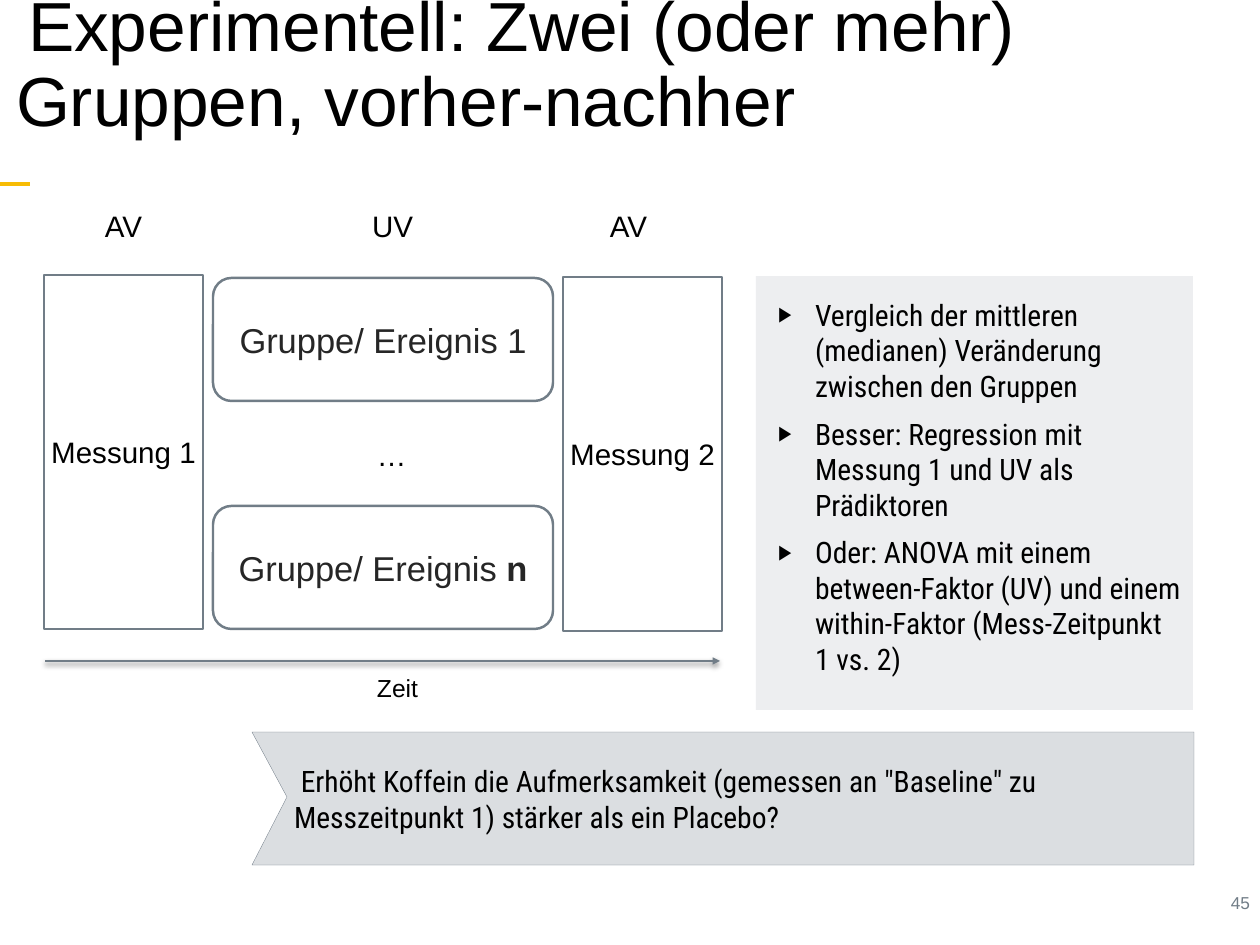
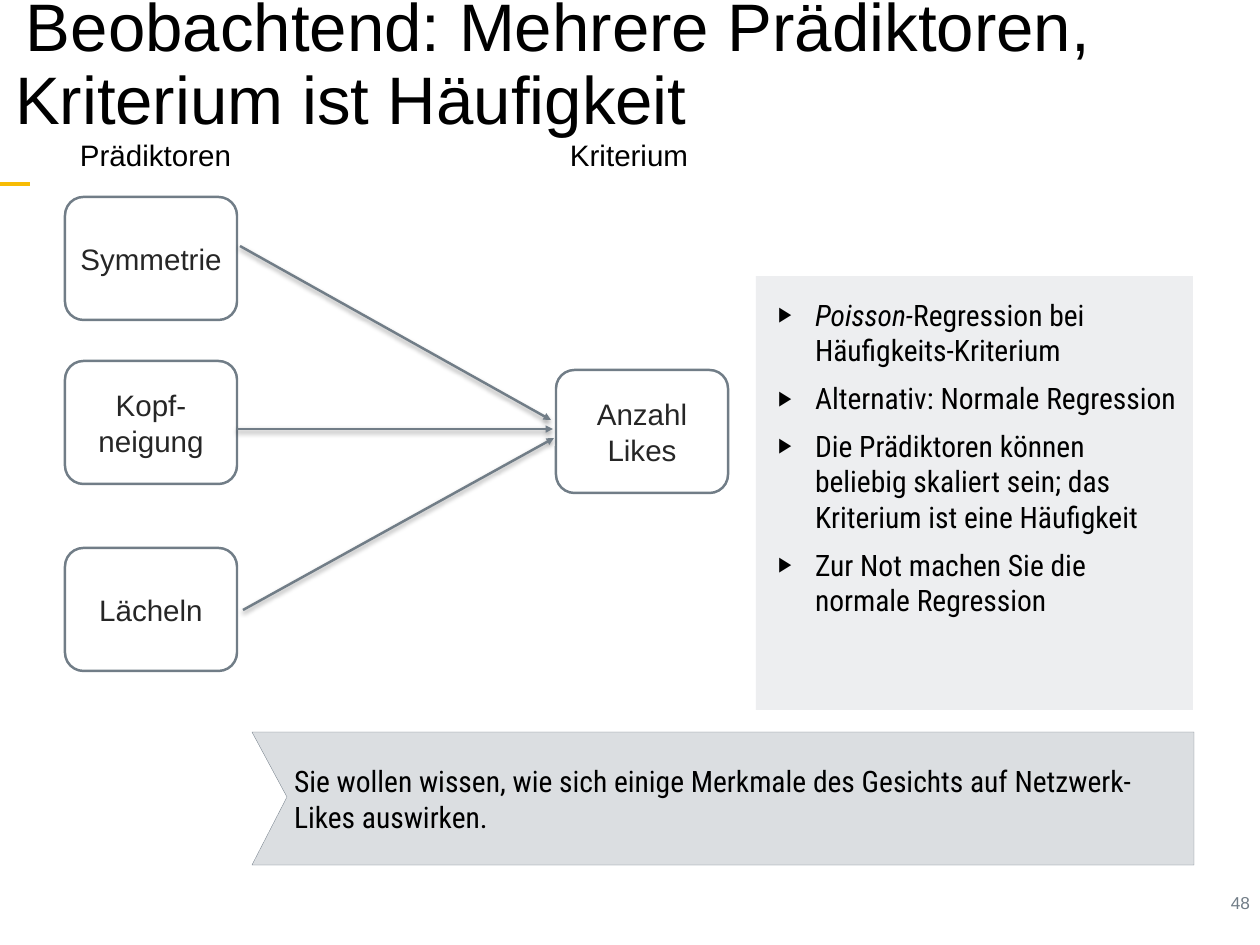
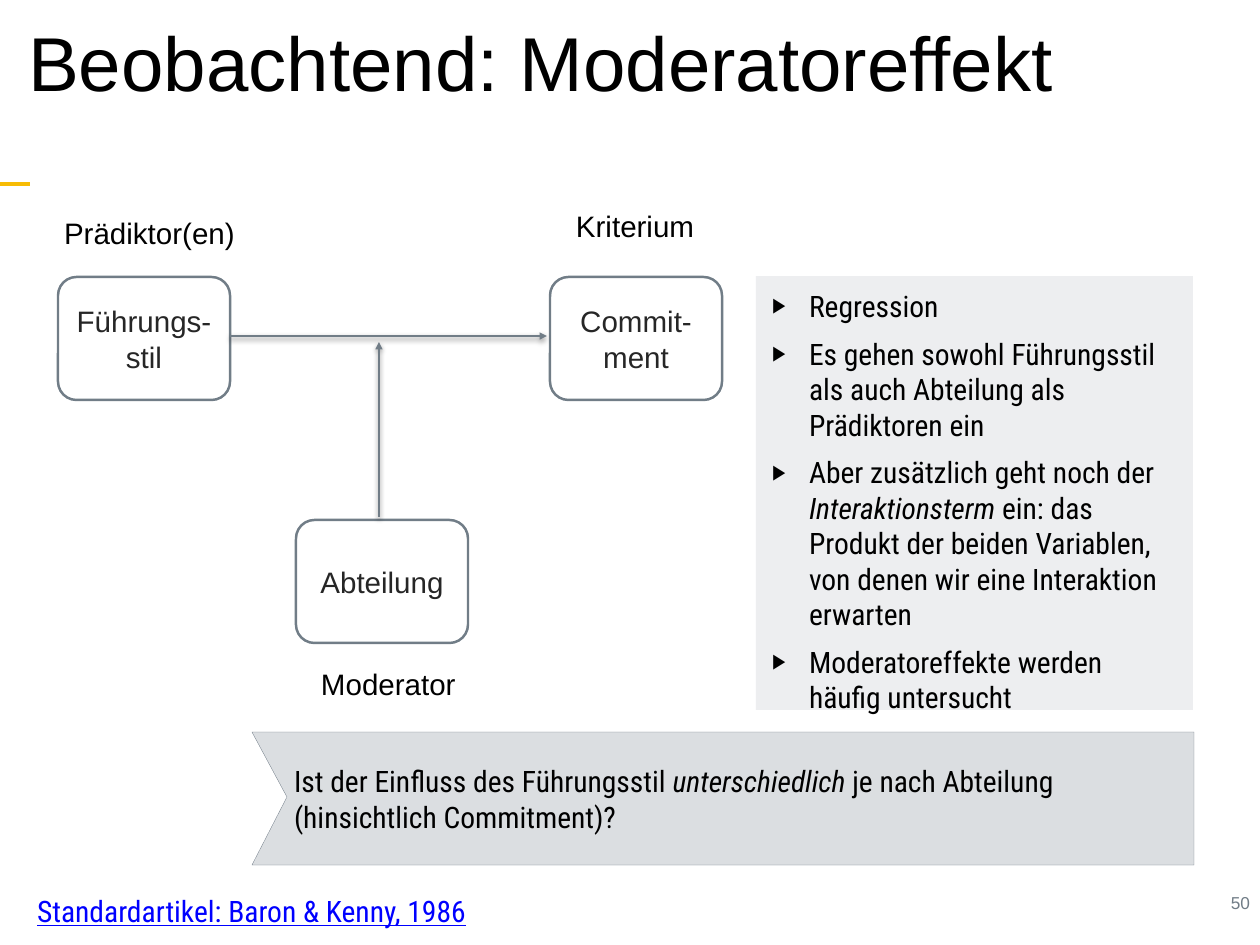
from lxml import etree
from pptx import Presentation
from pptx.dml.color import RGBColor
from pptx.enum.shapes import MSO_CONNECTOR, MSO_SHAPE
from pptx.enum.text import MSO_ANCHOR as Anchor, MSO_AUTO_SIZE, PP_ALIGN as Align
from pptx.oxml import parse_xml
from pptx.oxml.ns import nsdecls, qn
from pptx.util import Emu, Pt

EMU_PER_PX = 10320
SLIDE_W, SLIDE_H = 1260, 945
TITLE_ONLY = 5

BLACK = RGBColor(0x00, 0x00, 0x00)
WHITE = RGBColor(0xFF, 0xFF, 0xFF)
INK = RGBColor(0x26, 0x26, 0x26)
SLATE = RGBColor(0x71, 0x7D, 0x87)
YELLOW = RGBColor(0xF7, 0xBC, 0x05)
PANEL_GREY = RGBColor(0xED, 0xEE, 0xF0)
BANNER_GREY = RGBColor(0xDB, 0xDE, 0xE1)
LINK_BLUE = RGBColor(0x00, 0x00, 0xFF)

SANS = "Arial"
CONDENSED = "Roboto Condensed"

NODE_W, NODE_H = 172, 123
GROUP_W = 340
INSET = 6
BULLET_INDENT = 37

SHADOW = (
    f'<a:effectLst {nsdecls("a")}>'
    '<a:outerShdw blurRad="50800" dist="25400" dir="5400000" rotWithShape="0">'
    '<a:srgbClr val="000000"><a:alpha val="38000"/></a:srgbClr>'
    "</a:outerShdw></a:effectLst>"
)
NO_SHADOW = f'<a:effectLst {nsdecls("a")}/>'


def px(length):
    return Emu(length * EMU_PER_PX)


def px_all(*lengths):
    return [px(length) for length in lengths]


def write(paragraph, text, size, color, font=SANS, bold_marks=False):
    """Fill a paragraph; parts between asterisks become italic, or bold."""
    for i, part in enumerate(text.split("*")):
        if not part:
            continue
        run = paragraph.add_run()
        run.text = part
        run.font.name, run.font.size = font, Pt(size)
        run.font.color.rgb = color
        if i % 2 and bold_marks:
            run.font.bold = True
        elif i % 2:
            run.font.italic = True


def set_frame(frame, inset=INSET, anchor=Anchor.TOP, wrap=True):
    frame.margin_left = frame.margin_right = px(inset)
    frame.margin_top = frame.margin_bottom = px(inset)
    frame.vertical_anchor = anchor
    frame.word_wrap = wrap


def set_indent(paragraph, left, first):
    pPr = paragraph._p.get_or_add_pPr()
    pPr.set("marL", str(px(left)))
    pPr.set("indent", str(px(first)))
    return pPr


def add_text(slide, x, y, w, h, text, size=24, color=BLACK, font=SANS,
             align=Align.LEFT, wrap=False, inset=INSET, anchor=Anchor.TOP):
    frame = slide.shapes.add_textbox(*px_all(x, y, w, h)).text_frame
    set_frame(frame, inset, anchor, wrap)
    paragraph = frame.paragraphs[0]
    paragraph.alignment = align
    write(paragraph, text, size, color, font)
    return paragraph


def add_label(slide, x, y, w, text, size=24):
    add_text(slide, x, y, w, 46, text, size)


def paint(shape, fill, line_width=None):
    shape.shadow.inherit = False
    shape.fill.solid()
    shape.fill.fore_color.rgb = fill
    if line_width is None:
        shape.line.fill.background()
    else:
        shape.line.color.rgb = SLATE
        shape.line.width = Pt(line_width)


def add_box(slide, x, y, w, h, text, size=24, color=INK, rounded=True):
    """Outlined box with centred text, one paragraph a line."""
    kind = MSO_SHAPE.ROUNDED_RECTANGLE if rounded else MSO_SHAPE.RECTANGLE
    box = slide.shapes.add_shape(kind, *px_all(x, y, w, h))
    if rounded:
        box.adjustments[0] = 0.15
    paint(box, WHITE, 2)
    frame = box.text_frame
    set_frame(frame, anchor=Anchor.MIDDLE, wrap=False)
    for i, line in enumerate(text.split("\n")):
        paragraph = frame.add_paragraph() if i else frame.paragraphs[0]
        paragraph.alignment = Align.CENTER
        write(paragraph, line, size, color, bold_marks=True)


def add_node(slide, x, y, text):
    add_box(slide, x, y, NODE_W, NODE_H, text)


def add_line(slide, start, end, color, width, effect=NO_SHADOW):
    line = slide.shapes.add_connector(
        MSO_CONNECTOR.STRAIGHT, *px_all(*start, *end))
    line.line.color.rgb = color
    line.line.width = Pt(width)
    line._element.spPr.append(parse_xml(effect))
    return line


def add_arrow(slide, start, end):
    arrow = add_line(slide, start, end, SLATE, 2, SHADOW)
    etree.SubElement(arrow.line._get_or_add_ln(), qn("a:tailEnd"), type="triangle")


def add_bullet(paragraph):
    pPr = set_indent(paragraph, BULLET_INDENT, -BULLET_INDENT)
    etree.SubElement(pPr, qn("a:buSzPct"), val="70000")
    etree.SubElement(pPr, qn("a:buFont"), typeface=SANS)
    etree.SubElement(pPr, qn("a:buChar"), char="▶")


def add_method_panel(slide, points, x=772, y=291):
    panel = slide.shapes.add_shape(MSO_SHAPE.RECTANGLE, *px_all(756, 276, 437, 434))
    paint(panel, PANEL_GREY)
    frame = slide.shapes.add_textbox(*px_all(x, y, 416, 420)).text_frame
    set_frame(frame)
    for i, point in enumerate(points):
        paragraph = frame.add_paragraph() if i else frame.paragraphs[0]
        add_bullet(paragraph)
        if i:
            paragraph.space_before = Pt(10)
        write(paragraph, point, 24, BLACK, CONDENSED)


def add_question_banner(slide, question):
    outline = slide.shapes.build_freeform(252, 732, scale=EMU_PER_PX)
    outline.add_line_segments([(1194, 732), (1194, 865), (252, 865), (287, 797)])
    paint(outline.convert_to_shape(), BANNER_GREY, 0.25)
    add_text(slide, 294, 747, 893, 103, question, font=CONDENSED,
             wrap=True, inset=0, anchor=Anchor.MIDDLE)


def start_slide(prs, title, title_size, title_indent, number):
    """Add a slide with its title, accent line and slide number."""
    slide = prs.slides.add_slide(prs.slide_layouts[TITLE_ONLY])
    heading = slide.shapes.title
    heading.left, heading.top, heading.width, heading.height = px_all(
        0, -2, SLIDE_W, 137)
    frame = heading.text_frame
    frame.auto_size = MSO_AUTO_SIZE.NONE
    set_frame(frame, 4, Anchor.MIDDLE)
    paragraph = frame.paragraphs[0]
    set_indent(paragraph, title_indent, title_indent)
    paragraph.alignment = Align.LEFT
    paragraph.line_spacing = 0.9
    write(paragraph, title, title_size, BLACK)
    add_line(slide, (0, 184), (30, 184), YELLOW, 3)
    add_text(slide, 1046, 886, 210, 32, number, 14, SLATE,
             align=Align.RIGHT, wrap=True)
    return slide


def build_experiment(prs):
    slide = start_slide(
        prs, "Experimentell: Zwei (oder mehr) Gruppen, vorher-nachher", 56.4, 12, "45")
    for x, w, heading in ((99, 51, "AV"), (366, 55, "UV"), (604, 51, "AV")):
        add_label(slide, x, 202, w, heading)
    for x, y, measurement in ((44, 275, "Messung 1"), (563, 277, "Messung 2")):
        add_box(slide, x, y, 159, 354, measurement, color=BLACK, rounded=False)
    for y, group in ((278, "1"), (506, "*n*")):
        add_box(slide, 213, y, GROUP_W, NODE_H, f"Gruppe/ Ereignis {group}", 28)
    add_label(slide, 371, 431, 43, "…")
    add_arrow(slide, (45, 661), (720, 661))
    add_label(slide, 371, 667, 55, "Zeit", 20)
    add_method_panel(slide, [
        "Vergleich der mittleren (medianen) Veränderung zwischen den Gruppen",
        "Besser: Regression mit Messung 1 und UV als Prädiktoren",
        "Oder: ANOVA mit einem between-Faktor (UV) und einem within-Faktor "
        "(Mess-Zeitpunkt 1 vs. 2)",
    ])
    add_question_banner(
        slide, ' Erhöht Koffein die Aufmerksamkeit (gemessen an "Baseline" zu '
        "Messzeitpunkt 1) stärker als ein Placebo?")


def build_count_regression(prs):
    slide = start_slide(
        prs, "Beobachtend: Mehrere Prädiktoren, Kriterium ist Häufigkeit", 54.6, 11, "48")
    add_label(slide, 74, 131, 165, "Prädiktoren")
    add_label(slide, 564, 131, 132, "Kriterium")
    for y, predictor in ((197, "Symmetrie"), (361, "Kopf-\nneigung"), (548, "Lächeln")):
        add_node(slide, 65, y, predictor)
    add_node(slide, 556, 370, "Anzahl\nLikes")
    for start, end in (((240, 246), (551, 420)),
                       ((237, 429), (553, 429)),
                       ((243, 610), (554, 438))):
        add_arrow(slide, start, end)
    add_method_panel(slide, [
        "*Poisson-*Regression bei Häufigkeits-Kriterium",
        "Alternativ: Normale Regression",
        "Die Prädiktoren können beliebig skaliert sein; das Kriterium ist eine Häufigkeit",
        "Zur Not machen Sie die normale Regression",
    ])
    add_question_banner(
        slide, "Sie wollen wissen, wie sich einige Merkmale des Gesichts auf "
        "Netzwerk-Likes auswirken.")


def build_moderator(prs):
    slide = start_slide(prs, "Beobachtend: Moderatoreffekt", 62, 12, "50")
    add_label(slide, 58, 209, 184, "Prädiktor(en)")
    add_label(slide, 570, 202, 132, "Kriterium")
    add_label(slide, 315, 660, 149, "Moderator")
    for x, y, variable in ((58, 277, "Führungs-\nstil"),
                           (550, 277, "Commit-\nment"),
                           (296, 520, "Abteilung")):
        add_node(slide, x, y, variable)
    add_arrow(slide, (230, 336), (547, 336))
    add_arrow(slide, (379, 517), (379, 342))
    add_method_panel(slide, [
        "Regression",
        "Es gehen sowohl Führungsstil als auch Abteilung als Prädiktoren ein",
        "Aber zusätzlich geht noch der *Interaktionsterm* ein: das Produkt der "
        "beiden Variablen, von denen wir eine Interaktion erwarten",
        "Moderatoreffekte werden häufig untersucht",
    ], x=766, y=282)
    add_question_banner(
        slide, "Ist der Einfluss des Führungsstil *unterschiedlich* je nach "
        "Abteilung (hinsichtlich Commitment)?")
    citation = add_text(slide, 31, 887, 442, 47, "Standardartikel: Baron & Kenny, 1986",
                        color=LINK_BLUE, font=CONDENSED)
    citation.runs[0].font.underline = True


def main():
    prs = Presentation()
    prs.slide_width, prs.slide_height = px_all(SLIDE_W, SLIDE_H)
    build_experiment(prs)
    build_count_regression(prs)
    build_moderator(prs)
    prs.save("out.pptx")


if __name__ == "__main__":
    main()
